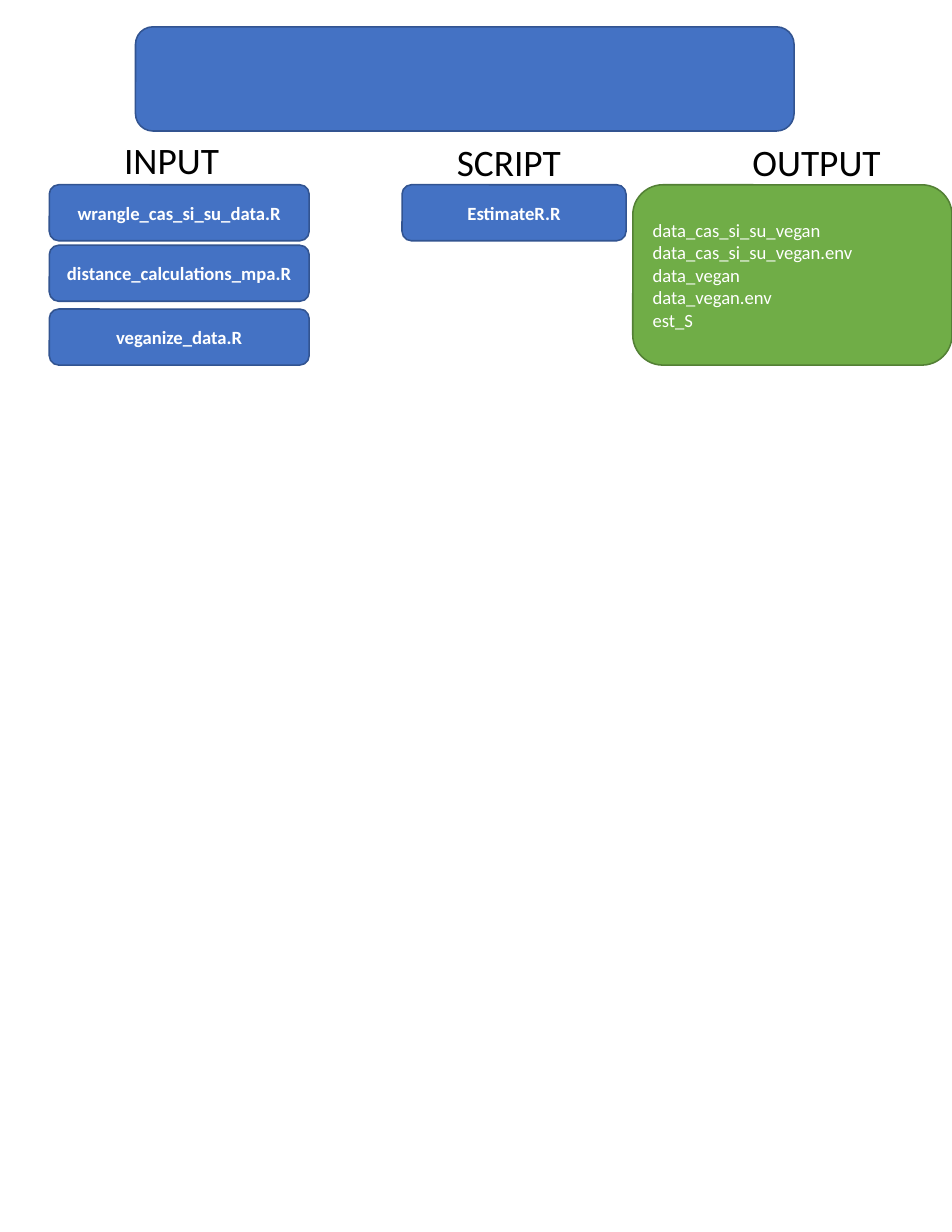
from dataclasses import dataclass

from pptx import Presentation
from pptx.dml.color import RGBColor
from pptx.enum.shapes import MSO_SHAPE
from pptx.enum.text import MSO_ANCHOR, PP_ALIGN
from pptx.util import Inches, Pt


@dataclass(frozen=True)
class Theme:
    font: str = "Calibri"
    heading_size: int = 24
    label_size: int = 12
    border_width: int = 1
    blue: str = "4472C4"
    blue_border: str = "325491"
    green: str = "70AD47"
    green_border: str = "538035"
    black: str = "000000"
    white: str = "FFFFFF"


THEME = Theme()
ROW_TOP = 1.65
SCRIPT_HEIGHT = 0.5


def add_line(paragraph, text, size, color, bold=False):
    run = paragraph.add_run()
    run.text = text
    run.font.name = THEME.font
    run.font.size = Pt(size)
    run.font.bold = bold
    run.font.color.rgb = RGBColor.from_string(color)


def add_heading(slide, text, left, top, width):
    heading = slide.shapes.add_textbox(
        Inches(left), Inches(top), Inches(width), Inches(0.5))
    heading.text_frame.word_wrap = True
    add_line(heading.text_frame.paragraphs[0], text,
             THEME.heading_size, THEME.black)


def add_panel(slide, left, top, width, height, fill, border):
    panel = slide.shapes.add_shape(
        MSO_SHAPE.ROUNDED_RECTANGLE,
        Inches(left), Inches(top), Inches(width), Inches(height))
    panel.shadow.inherit = False
    panel.fill.solid()
    panel.fill.fore_color.rgb = RGBColor.from_string(fill)
    panel.line.color.rgb = RGBColor.from_string(border)
    panel.line.width = Pt(THEME.border_width)
    return panel


def add_labels(panel, lines, align, bold=False):
    frame = panel.text_frame
    frame.word_wrap = True
    frame.vertical_anchor = MSO_ANCHOR.MIDDLE
    for index, text in enumerate(lines):
        paragraph = frame.add_paragraph() if index else frame.paragraphs[0]
        paragraph.alignment = align
        add_line(paragraph, text, THEME.label_size, THEME.white, bold)


def add_script(slide, name, left, top, width):
    script = add_panel(slide, left, top, width, SCRIPT_HEIGHT,
                       THEME.blue, THEME.blue_border)
    add_labels(script, [name], PP_ALIGN.CENTER, bold=True)


def main():
    deck = Presentation()
    deck.slide_width, deck.slide_height = Inches(8.5), Inches(11)
    slide = deck.slides.add_slide(deck.slide_layouts[6])

    # Banner
    add_panel(slide, 1.21, 0.24, 5.88, 0.93, THEME.blue, THEME.blue_border)

    # Column headings
    for text, left, top, width in (("INPUT", 1.01, 1.18, 1.21),
                                   ("SCRIPT", 3.98, 1.19, 1.21),
                                   ("OUTPUT", 6.62, 1.19, 1.4)):
        add_heading(slide, text, left, top, width)

    # Input scripts and the script they feed
    for name, top in (("wrangle_cas_si_su_data.R", ROW_TOP),
                      ("distance_calculations_mpa.R", 2.19),
                      ("veganize_data.R", 2.76)):
        add_script(slide, name, 0.44, top, 2.32)
    add_script(slide, "EstimateR.R", 3.59, ROW_TOP, 2)

    # Output data sets
    output = add_panel(slide, 5.65, ROW_TOP, 2.85, 1.61,
                       THEME.green, THEME.green_border)
    add_labels(output, ["data_cas_si_su_vegan", "data_cas_si_su_vegan.env",
                        "data_vegan", "data_vegan.env", "est_S"],
               PP_ALIGN.LEFT)

    deck.save("out.pptx")


if __name__ == "__main__":
    main()
